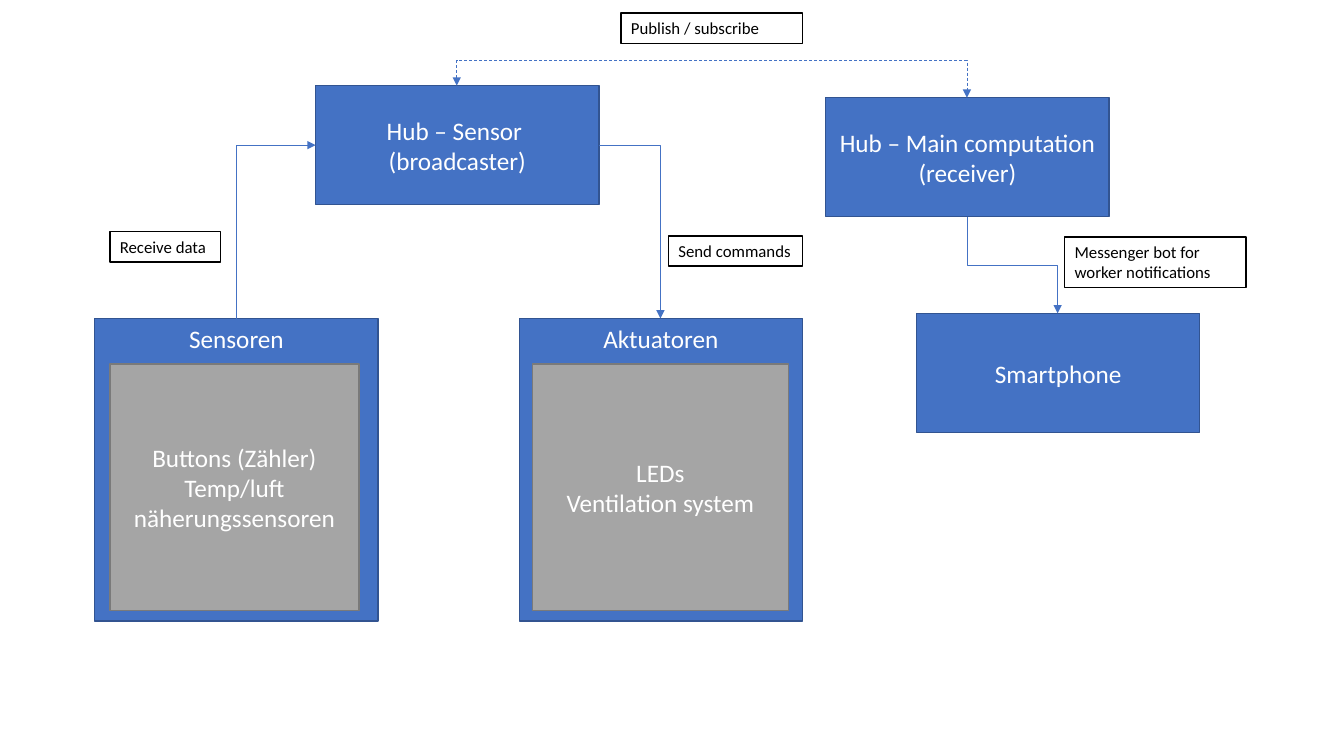
"""Build the slide showing how the sensors, the two hubs and the phone talk."""
from lxml.etree import SubElement as Sub
from pptx import Presentation
from pptx.dml.color import RGBColor as Rgb
from pptx.enum.dml import MSO_LINE as Dash
from pptx.enum.shapes import MSO_CONNECTOR as Link, MSO_SHAPE as Form
from pptx.enum.text import MSO_ANCHOR as Anchor, MSO_AUTO_SIZE as Fit, PP_ALIGN as Align
from pptx.oxml.ns import qn
from pptx.util import Inches, Pt

HUES = {"blue": "4472C4", "navy": "325491", "gray": "A5A5A5",
        "slate": "7A7A7A", "white": "FFFFFF", "black": "000000"}

deck = Presentation()
deck.slide_width, deck.slide_height = Inches(13.33), Inches(7.5)
cell = deck.slide_height / 75
slide = deck.slides.add_slide(deck.slide_layouts[6])
shapes = slide.shapes


def grid(*sizes):
    """Turn counts of grid cells into lengths."""
    return [round(size * cell) for size in sizes]


def dress(shape, fill, edge, ink, size, align, lines):
    """Colour a box and write its lines of text."""
    shape.fill.solid()
    shape.fill.fore_color.rgb = Rgb.from_string(HUES[fill])
    shape.line.color.rgb = Rgb.from_string(HUES[edge])
    shape.line.width = Pt(1)
    frame = shape.text_frame
    frame.word_wrap = True
    frame.text = "\n".join(lines)
    for para in frame.paragraphs:
        para.alignment = align
        para.font.name, para.font.size = "Calibri", Pt(size)
        para.font.color.rgb = Rgb.from_string(HUES[ink])


wide, low, tall = 28.1, 11.8, 30
left, mid, top = 9.4, 51.5, 31.6
nodes = [
    (31.3, 8.5, wide, low, "blue", "navy", Anchor.MIDDLE, ["Hub – Sensor ", "(broadcaster)"]),
    (left, top, wide, tall, "blue", "navy", Anchor.TOP, ["Sensoren"]),
    (81.9, 9.7, wide, low, "blue", "navy", Anchor.MIDDLE, ["Hub – Main computation", "(receiver)"]),
    (mid, top, wide, tall, "blue", "navy", Anchor.TOP, ["Aktuatoren"]),
    (left + 1.5, top + 4.5, 24.7, 24.5, "gray", "slate", Anchor.MIDDLE,
     ["Buttons (Zähler)", "Temp/luft", "näherungssensoren"]),
    (mid + 1.3, top + 4.5, 25.4, 24.5, "gray", "slate", Anchor.MIDDLE,
     ["LEDs", "Ventilation system"]),
    (90.9, 31.1, wide, low, "blue", "navy", Anchor.MIDDLE, ["Smartphone"]),
]
for x, y, w, h, fill, edge, anchor, lines in nodes:
    node = shapes.add_shape(Form.RECTANGLE, *grid(x, y, w, h))
    node.shadow.inherit = False
    dress(node, fill, edge, "white", 18, Align.CENTER, lines)
    node.text_frame.vertical_anchor = anchor

links = [
    (23.4, 31.6, 31.3, 14.4, 90, True, True, "bentConnector2", None, False),
    (59.4, 14.4, 65.5, 31.6, 0, False, False, "bentConnector2", None, False),
    (45.3, 8.5, 95.9, 9.7, 270, True, False, "bentConnector3", -2.1, True),
    (95.9, 21.5, 104.9, 31.1, 270, True, False, "bentConnector3", 0.5, False),
]
for x1, y1, x2, y2, turn, flip_x, flip_y, kind, bend, both in links:
    w, h = abs(x2 - x1), abs(y2 - y1)
    if turn:
        w, h = h, w
    x, y = (x1 + x2 - w) / 2, (y1 + y2 - h) / 2
    start_x, end_x = (x + w, x) if flip_x else (x, x + w)
    start_y, end_y = (y + h, y) if flip_y else (y, y + h)
    link = shapes.add_connector(Link.ELBOW, *grid(start_x, start_y, end_x, end_y))
    link.line.color.rgb = Rgb.from_string(HUES["blue"])
    link.line.width = Pt(0.5)
    if both:
        link.line.dash_style = Dash.DASH
    props = link._element.spPr
    props.find(qn("a:xfrm")).set("rot", str(turn * 60000))
    geom = props.find(qn("a:prstGeom"))
    geom.set("prst", kind)
    if bend is not None:
        guides = geom.find(qn("a:avLst"))
        if guides is None:
            guides = Sub(geom, qn("a:avLst"))
        Sub(guides, qn("a:gd"), name="adj1", fmla=f"val {round(bend * 100000)}")
    stroke = props.find(qn("a:ln"))
    for tip in ["headEnd", "tailEnd"] if both else ["tailEnd"]:
        Sub(stroke, qn(f"a:{tip}"), type="triangle")
    Sub(props, qn("a:effectLst"))

notes = [
    (105.6, 23.5, 18, 5, "Messenger bot for worker notifications"),
    (61.6, 1.3, 18, 3, "Publish / subscribe"),
    (10.9, 23, 11, 3, "Receive data"),
    (66.3, 23.4, 13.3, 3, "Send commands"),
]
for x, y, w, h, words in notes:
    note = shapes.add_textbox(*grid(x, y, w, h))
    dress(note, "white", "black", "black", 12, Align.LEFT, [words])
    note.text_frame.auto_size = Fit.SHAPE_TO_FIT_TEXT

deck.save("out.pptx")
